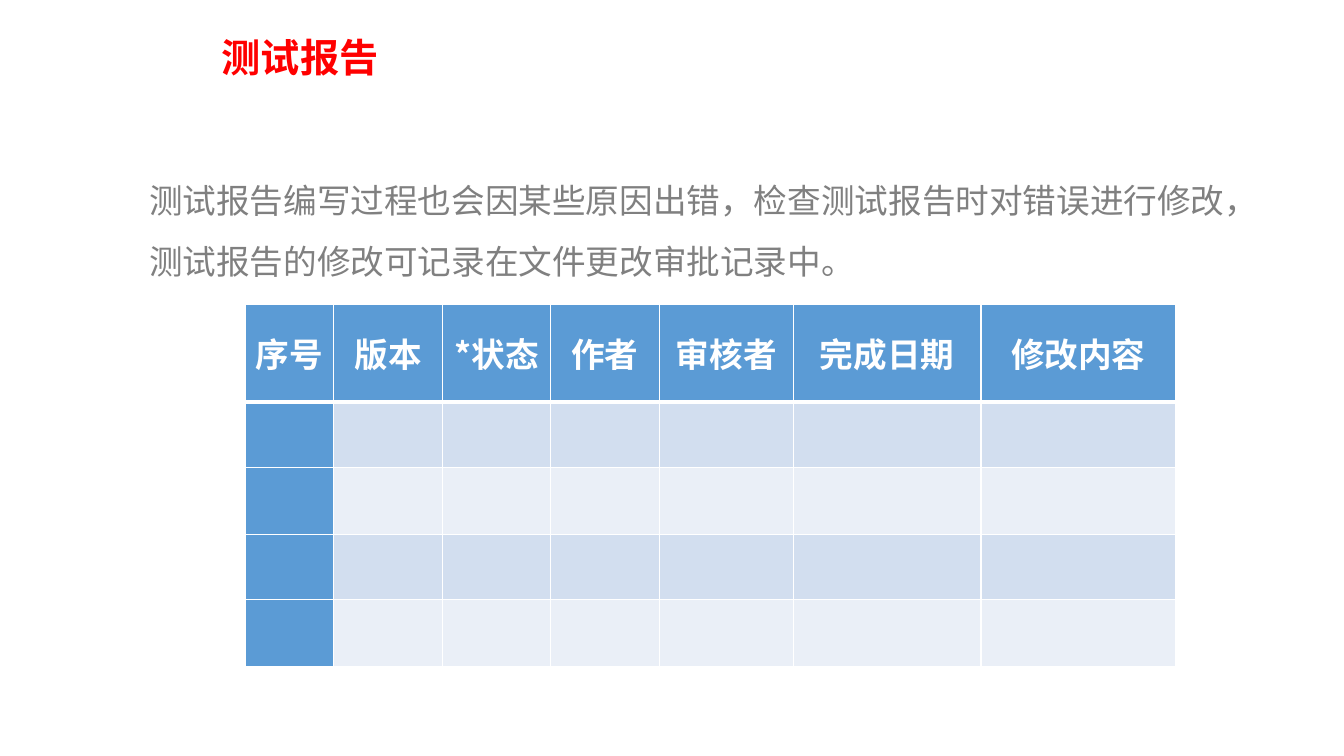
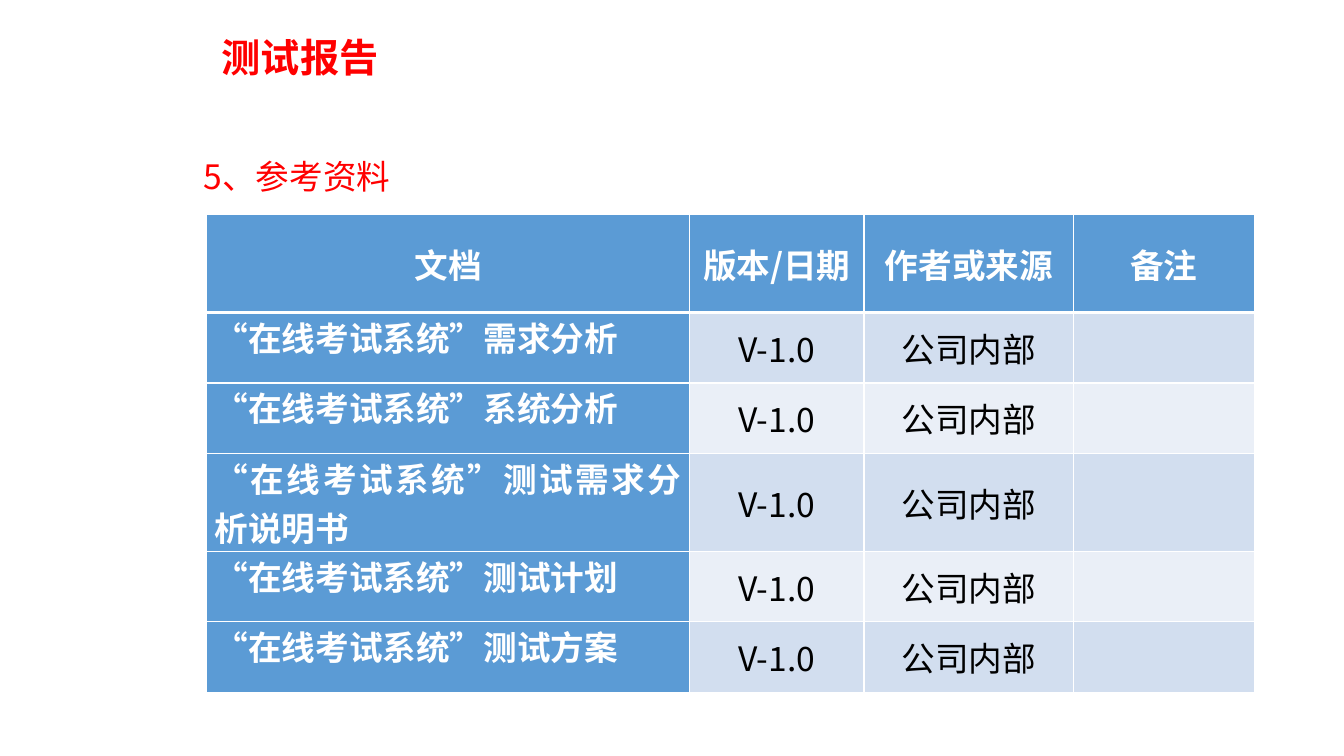
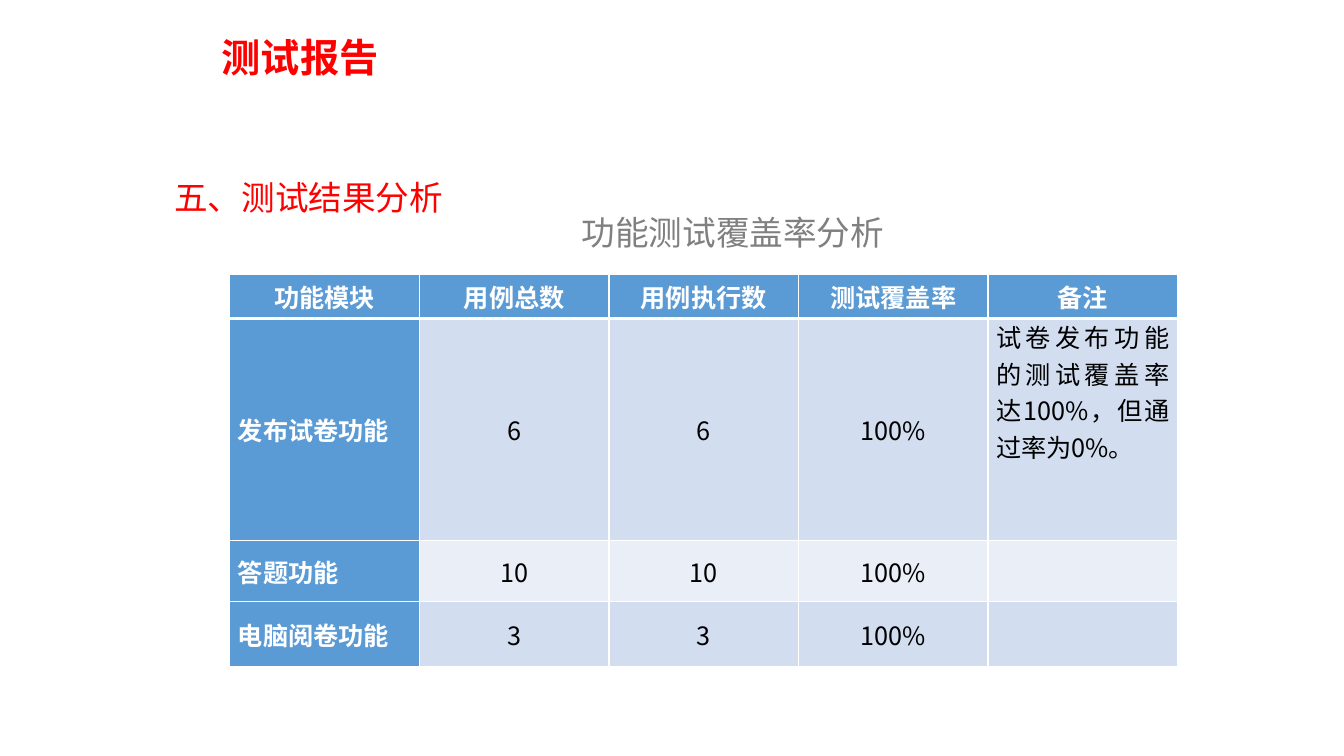
"""Build three test report slides with text and tables."""
from lxml import etree
from pptx import Presentation
from pptx.dml.color import RGBColor
from pptx.enum.text import MSO_ANCHOR, MSO_AUTO_SIZE, PP_ALIGN
from pptx.oxml.ns import qn
from pptx.util import Pt

PX = 9144
FONT = "Noto Sans CJK SC"
RED = RGBColor(0xFF, 0x00, 0x00)
GRAY = RGBColor(0x80, 0x80, 0x80)
BLACK = RGBColor(0x00, 0x00, 0x00)
WHITE = RGBColor(0xFF, 0xFF, 0xFF)
BLUE = RGBColor(0x5B, 0x9B, 0xD5)
BANDS = [RGBColor(0xD2, 0xDE, 0xEF), RGBColor(0xEA, 0xEF, 0xF7)]
LEFT, CENTER, JUSTIFY = PP_ALIGN.LEFT, PP_ALIGN.CENTER, PP_ALIGN.JUSTIFY
TOP, MIDDLE = MSO_ANCHOR.TOP, MSO_ANCHOR.MIDDLE
NO_AUTOFIT = MSO_AUTO_SIZE.NONE
CENTERED = (CENTER, MIDDLE)

PAGES = [
    {
        "texts": [
            ("测试报告编写过程也会因某些原因出错，检查测试报告时对错误进行修改，"
             "测试报告的修改可记录在文件更改审批记录中。", GRAY, (138, 154, 1146, 139)),
        ],
        "corner": (243, 302),
        "widths": [88, 108, 107, 108, 133, 186, 193],
        "heights": [97, 65, 66, 65, 66],
        "size": 24,
        "styles": [CENTERED] * 7,
        "rows": [["序号", "版本", "*状态", "作者", "审核者", "完成日期", "修改内容"]]
        + [[""] * 7] * 4,
    },
    {
        "texts": [("5、参考资料", RED, (192, 130, 1015, 82))],
        "corner": (205, 213),
        "widths": [479, 173, 208, 179],
        "heights": [97, 70, 70, 97, 70, 70],
        "size": 24,
        "styles": [(JUSTIFY, TOP)] + [CENTERED] * 3,
        "rows": [["文档", "版本/日期", "作者或来源", "备注"]]
        + [["“在线考试系统”" + name, "V-1.0", "公司内部", ""]
           for name in ("需求分析", "系统分析", "测试需求分析说明书", "测试计划", "测试方案")],
    },
    {
        "texts": [
            ("五、测试结果分析", RED, (163, 151, 308, 63)),
            ("功能测试覆盖率分析", GRAY, (567, 185, 349, 73)),
        ],
        "corner": (228, 272),
        "widths": [188] * 5,
        "heights": [44, 220, 61, 64],
        "size": 18,
        "styles": [(JUSTIFY, MIDDLE)] + [CENTERED] * 3 + [(JUSTIFY, TOP)],
        "rows": [
            ["功能模块", "用例总数", "用例执行数", "测试覆盖率", "备注"],
            ["发布试卷功能", "6", "6", "100%", "试卷发布功能的测试覆盖率达100%，但通过率为0%。"],
            ["答题功能", "10", "10", "100%", ""],
            ["电脑阅卷功能", "3", "3", "100%", ""],
        ],
    },
]


def write(frame, text, size, color, bold=False, align=LEFT, spacing=None):
    para = frame.paragraphs[0]
    para.alignment = align
    if spacing:
        para.line_spacing = spacing
    span = para.add_run()
    span.text = text
    span.font.size = Pt(size)
    span.font.bold = bold
    span.font.color.rgb = color
    span.font.name = FONT
    etree.SubElement(span.font._element, qn("a:ea"), typeface=FONT)


def set_borders(cell, top, bottom):
    properties = cell._tc.get_or_add_tcPr()
    for side, points in (("L", 1), ("R", 1), ("T", top), ("B", bottom)):
        line = etree.SubElement(properties, qn("a:ln" + side), w=str(Pt(points)))
        fill = etree.SubElement(line, qn("a:solidFill"))
        etree.SubElement(fill, qn("a:srgbClr"), val=str(WHITE))


deck = Presentation()
deck.slide_width, deck.slide_height = 1333 * PX, 750 * PX
title_only = deck.slide_layouts[5]

for content in PAGES:
    page = deck.slides.add_slide(title_only)
    title = page.shapes.title
    title.left, title.top, title.width, title.height = [n * PX for n in (210, 30, 1003, 58)]
    title.text_frame.auto_size = NO_AUTOFIT
    title.text_frame.vertical_anchor = MIDDLE
    write(title.text_frame, "测试报告", 28, RED, bold=True, spacing=0.9)

    for text, color, place in content["texts"]:
        box = page.shapes.add_textbox(*[n * PX for n in place])
        box.text_frame.word_wrap = True
        write(box.text_frame, text, 24, color, spacing=1.5)

    widths, heights = content["widths"], content["heights"]
    left, top = content["corner"]
    table = page.shapes.add_table(len(heights), len(widths), left * PX, top * PX,
                                  sum(widths) * PX, sum(heights) * PX).table
    table.first_col = True
    for column, width in zip(table.columns, widths):
        column.width = width * PX
    for row, height in zip(table.rows, heights):
        row.height = height * PX

    for r, values in enumerate(content["rows"]):
        for c, value in enumerate(values):
            cell = table.cell(r, c)
            heading = r == 0 or c == 0
            align, anchor = CENTERED if r == 0 else content["styles"][c]
            set_borders(cell, 3 if r == 1 else 1, 3 if r == 0 else 1)
            cell.fill.solid()
            cell.fill.fore_color.rgb = BLUE if heading else BANDS[(r - 1) % 2]
            cell.vertical_anchor = anchor
            cell.margin_left = cell.margin_right = 8 * PX
            cell.margin_top = cell.margin_bottom = 0
            if value:
                write(cell.text_frame, value, content["size"],
                      WHITE if heading else BLACK, heading, align)

deck.save("out.pptx")
